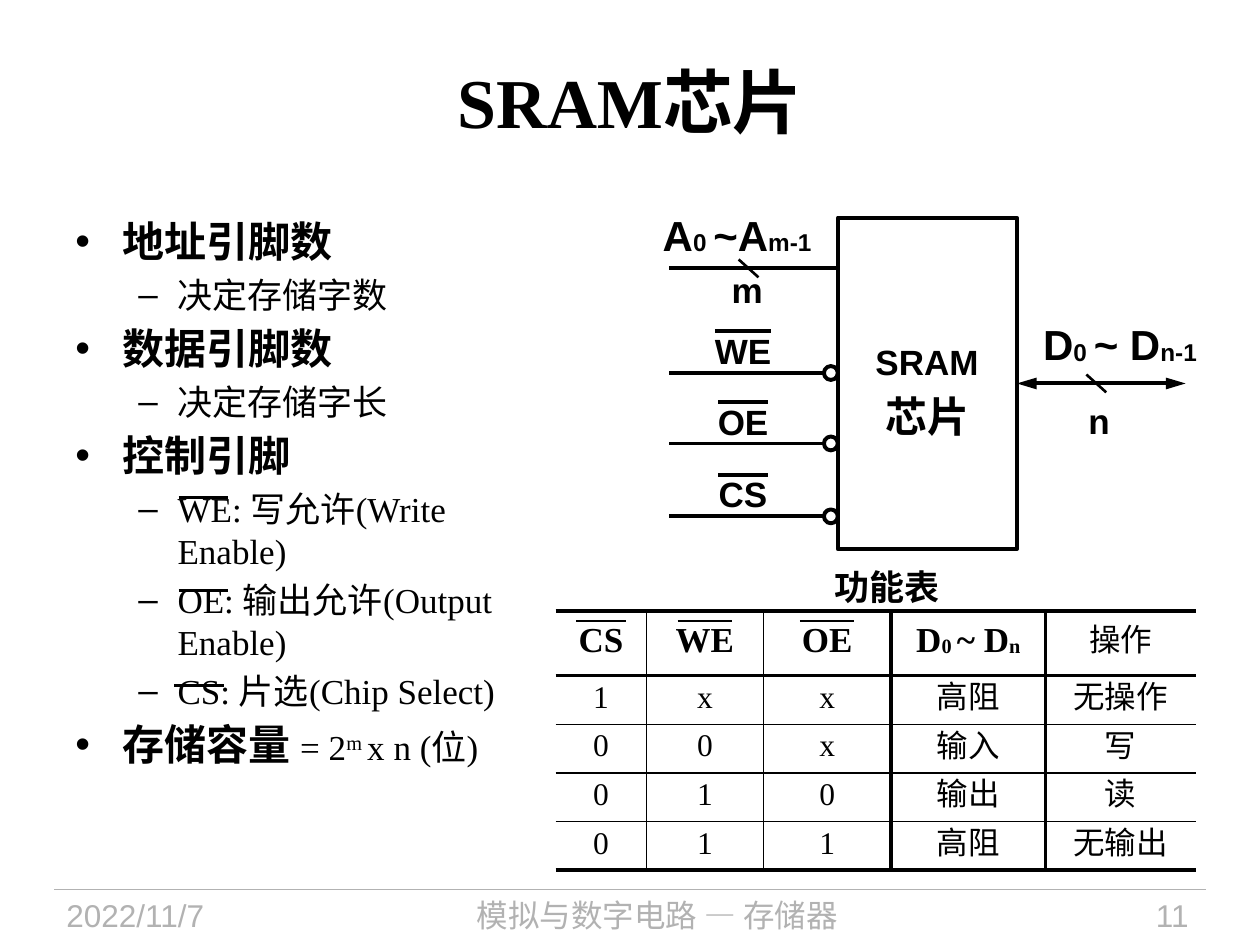
from itertools import accumulate

from lxml import etree
from pptx import Presentation
from pptx.dml.color import RGBColor
from pptx.enum import shapes, text
from pptx.oxml import ns
from pptx.util import Cm, Pt

THEME = {
    "ink": RGBColor(0, 0, 0), "paper": RGBColor(255, 255, 255),
    "muted": RGBColor(0xB2, 0xB2, 0xB2),
    "serif": "Times New Roman", "sans": "Arial", "cjk": "Noto Sans CJK SC",
    "title": 40, "head": 24, "item": 20, "small": 18,
    "thick": 2.25, "medium": 1.5, "thin": 1, "hair": 0.75,
}
EAST_ASIAN = {"serif": "sans", "sans": "sans", "cjk": "cjk"}
LEFT, CENTER, RIGHT = text.PP_ALIGN.LEFT, text.PP_ALIGN.CENTER, text.PP_ALIGN.RIGHT

# Content: a run is (text, baseline in percent)
TITLE = "SRAM芯片"
OUTLINE = [
    ("地址引脚数", ["决定存储字数"]),
    ("数据引脚数", ["决定存储字长"]),
    ("控制引脚", ["WE: 写允许(Write Enable)", "OE: 输出允许(Output Enable)",
              "CS: 片选(Chip Select)"]),
]
CAPACITY = ("存储容量", [(" = 2", 0), ("m ", 30), ("x n (位)", 0)])
ADDRESS = [("A", 0), ("0 ", -2), ("~A", 0), ("m-1", -2)]
DATA = [("D", 0), ("0 ", -2), ("~ D", 0), ("n-1", -2)]
PINS = [("WE", 7.52, 1.14), ("OE", 8.94, 1), ("CS", 10.41, 1)]  # name, y, bar width
CAPTION = "功能表"
TABLE = [
    ["CS", "WE", "OE", [("D", 0), ("0 ", -2), ("~ D", 0), ("n", -2)], "操作"],
    ["1", "x", "x", "高阻", "无操作"],
    ["0", "0", "x", "输入", "写"],
    ["0", "1", "0", "输出", "读"],
    ["0", "1", "1", "高阻", "无输出"],
]
FOOTER = [  # text, left, width, alignment, font
    ("2022/11/7", 1.09, 4.78, LEFT, "sans"),
    ("模拟与数字电路 — 存储器", 6.1, 14.3, CENTER, "cjk"),
    ("11", 20.83, 3.38, RIGHT, "sans"),
]

# Geometry in cm
CHIP = (16.89, 4.39, 3.61, 6.68)
COLS, ROWS = [1.83, 2.36, 2.57, 3.12, 3.02], [1.3] + [0.98] * 4
TABLE_AT = (11.2, 12.32)
COL_RULES = [0, THEME["thin"], THEME["thin"], THEME["thick"], THEME["thick"], 0]
ROW_RULES = [THEME["thick"]] * 2 + [THEME["thin"]] * 3 + [THEME["thick"]]

deck = Presentation()
deck.slide_width, deck.slide_height = Cm(25.4), Cm(19.05)
slide = deck.slides.add_slide(deck.slide_layouts[5])


def apply(target, formats):
    for name, value in formats.items():
        setattr(target, name, value)


def add_xml(parent, tag, **attributes):
    return etree.SubElement(parent, ns.qn(tag), attributes)


def write(paragraph, runs, size, font="serif", bold=False, color="ink", **formats):
    apply(paragraph, formats)
    for words, baseline in [(runs, 0)] if isinstance(runs, str) else runs:
        run = paragraph.add_run()
        run.text = words
        apply(run.font, {"size": Pt(THEME[size]), "bold": bold, "name": THEME[font]})
        run.font.color.rgb = THEME[color]
        properties = run.font._element
        add_xml(properties, "a:ea", typeface=THEME[EAST_ASIAN[font]])
        if baseline:
            properties.set("baseline", str(baseline * 1000))


def text_frame(left, top, width, height, wrap=True):
    frame = slide.shapes.add_textbox(Cm(left), Cm(top), Cm(width), Cm(height)).text_frame
    frame.word_wrap = wrap
    return frame


def label(words, left, top, width, height, size="item", wrap=False, **formats):
    frame = text_frame(left, top, width, height, wrap)
    style = {"font": "sans", "bold": True, **formats}
    write(frame.paragraphs[0], words, size, **style)
    return frame


def line(x1, y1, x2, y2, weight="thick", color="ink"):
    connector = slide.shapes.add_connector(
        shapes.MSO_CONNECTOR.STRAIGHT, Cm(x1), Cm(y1), Cm(x2), Cm(y2))
    connector.line.width = Pt(THEME[weight])
    connector.line.color.rgb = THEME[color]
    add_xml(connector._element.spPr, "a:effectLst")
    return connector


def overbar(center, y, width, weight="medium"):
    line(center - width / 2, y, center + width / 2, y, weight)


def outlined(kind, left, top, width, height, fill=None):
    shape = slide.shapes.add_shape(kind, Cm(left), Cm(top), Cm(width), Cm(height))
    shape.shadow.inherit = False
    if fill:
        shape.fill.solid()
        shape.fill.fore_color.rgb = THEME[fill]
    else:
        shape.fill.background()
    shape.line.width = Pt(THEME["thick"])
    shape.line.color.rgb = THEME["ink"]
    return shape


def set_border(cell, side, weight):
    border = add_xml(cell._tc.get_or_add_tcPr(), f"a:ln{side}", w=str(Pt(weight)))
    if weight:
        color = add_xml(border, "a:solidFill")
        add_xml(color, "a:srgbClr", val=str(THEME["ink"]))
    else:
        add_xml(border, "a:noFill")


# Footer
line(1.09, 17.93, 24.31, 17.93, "hair", "muted")
for words, left, width, align, font in FOOTER:
    label(words, left, 17.93, width, 1.12, "small", True,
          font=font, bold=False, color="muted", alignment=align)

# Title
title = slide.shapes.title
apply(title, {"left": Cm(1.27), "top": Cm(0.94), "width": Cm(22.86), "height": Cm(2.16)})
title.text_frame.vertical_anchor = text.MSO_ANCHOR.MIDDLE
write(title.text_frame.paragraphs[0], TITLE, "title", bold=True, alignment=CENTER)

# Outline
outline = text_frame(1.27, 4.22, 9.8, 13.51)


def outline_paragraph(level):
    first = outline.paragraphs[0]
    paragraph = outline.add_paragraph() if first.runs else first
    margin, hang, gap, mark = [(0.95, 0.95, 4.4, "•"), (2.06, 0.79, 4, "–")][level]
    apply(paragraph, {"level": level, "space_after": Pt(gap)})
    properties = paragraph._p.get_or_add_pPr()
    properties.set("marL", str(Cm(margin)))
    properties.set("indent", str(-Cm(hang)))
    add_xml(properties, "a:buFont", typeface=THEME["sans"])
    add_xml(properties, "a:buChar", char=mark)
    return paragraph


for heading, items in OUTLINE:
    write(outline_paragraph(0), heading, "head", bold=True)
    for item in items:
        write(outline_paragraph(1), item, "item")
capacity = outline_paragraph(0)
write(capacity, CAPACITY[0], "head", bold=True)
write(capacity, CAPACITY[1], "item")
for center, y in [(4.1, 10.03), (4.1, 11.91), (4.01, 13.82)]:
    overbar(center, y, 1)

# Function table
label(CAPTION, 16.56, 11.28, 2.64, 1.09, alignment=CENTER)
table = slide.shapes.add_table(
    len(ROWS), len(COLS), *map(Cm, (*TABLE_AT, sum(COLS), sum(ROWS)))).table
apply(table, {"first_row": False, "horz_banding": False})
for column, width in zip(table.columns, COLS):
    column.width = Cm(width)
for r, (row, height) in enumerate(zip(TABLE, ROWS)):
    table.rows[r].height = Cm(height)
    for c, words in enumerate(row):
        cell = table.cell(r, c)
        apply(cell, {"margin_left": 0, "margin_right": 0, "margin_top": 0,
                     "margin_bottom": 0, "vertical_anchor": text.MSO_ANCHOR.MIDDLE})
        for side, weight in zip("LRTB", COL_RULES[c:c + 2] + ROW_RULES[r:r + 2]):
            set_border(cell, side, weight)
        cell.fill.background()
        strong = r == 0 and c < 4
        write(cell.text_frame.paragraphs[0], words, "item" if strong else "small",
              bold=strong, alignment=CENTER, line_spacing=0.8, space_after=Pt(4))
for right, width, bar in zip(accumulate(COLS), COLS, (1, 1.1, 1.1)):
    overbar(TABLE_AT[0] + right - width / 2, 12.52, bar)

# Chip
chip_left, chip_top, chip_width, chip_height = CHIP
chip_right, chip_middle = chip_left + chip_width, chip_top + chip_height / 2
chip = outlined(shapes.MSO_SHAPE.RECTANGLE, *CHIP)
chip_name = label("SRAM", 17.09, 6.73, 3.2, 2.31, wrap=True, alignment=CENTER)
write(chip_name.add_paragraph(), "芯片", "head", "sans", True,
      alignment=CENTER, space_before=Pt(5))

# Address and data buses
line(13.49, 5.41, chip_left, 5.41)
data_bus = line(chip_right, chip_middle, 23.9, chip_middle)
data_bus.begin_connect(chip, 3)
for end in ("a:headEnd", "a:tailEnd"):
    add_xml(data_bus.line._get_or_add_ln(), end, type="triangle", len="lg")
for x, y in [(15.09, 5.41), (22.1, chip_middle)]:
    line(x - 0.2, y - 0.18, x + 0.2, y + 0.18, "medium")
label(ADDRESS, 13.11, 4.09, 3.73, 1.3, "head")
label("m", 14.5, 5.28, 1.27, 1.09)
label(DATA, 20.78, 6.3, 3.81, 1.3, "head")
label("n", 21.69, 7.92, 0.94, 1.09)

# Control pins, active low
BUBBLE, PIN_CENTER, PIN_WIDTH = 0.28, 14.98, 2
for pin, y, bar in PINS:
    line(13.49, y, chip_left, y)
    label(pin, PIN_CENTER - PIN_WIDTH / 2, y - 1, PIN_WIDTH, 1.09, alignment=CENTER)
    overbar(PIN_CENTER, y - 0.84, bar, "thick")
    outlined(shapes.MSO_SHAPE.OVAL, chip_left - BUBBLE, y - BUBBLE / 2,
             BUBBLE, BUBBLE, "paper")

deck.save("out.pptx")
